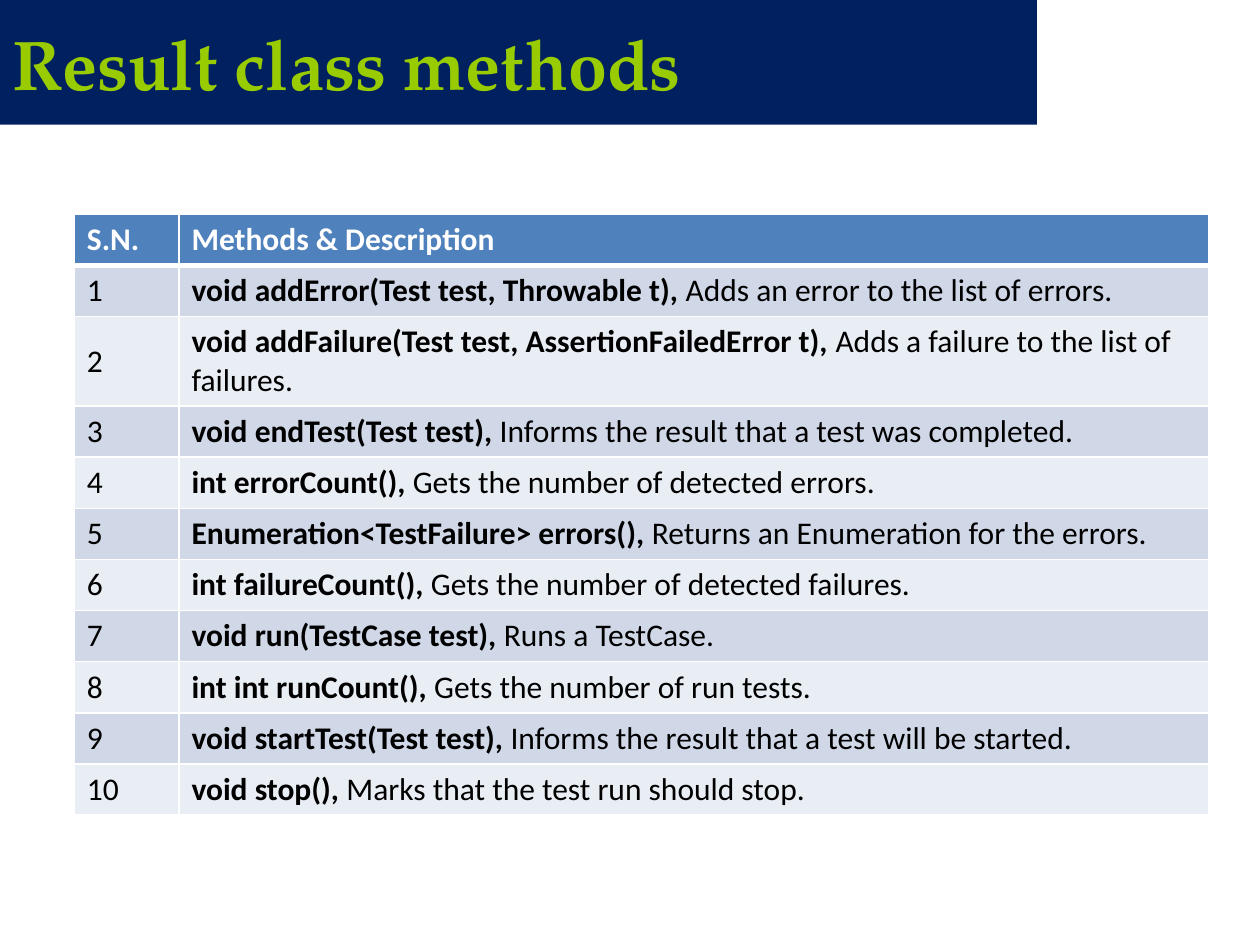
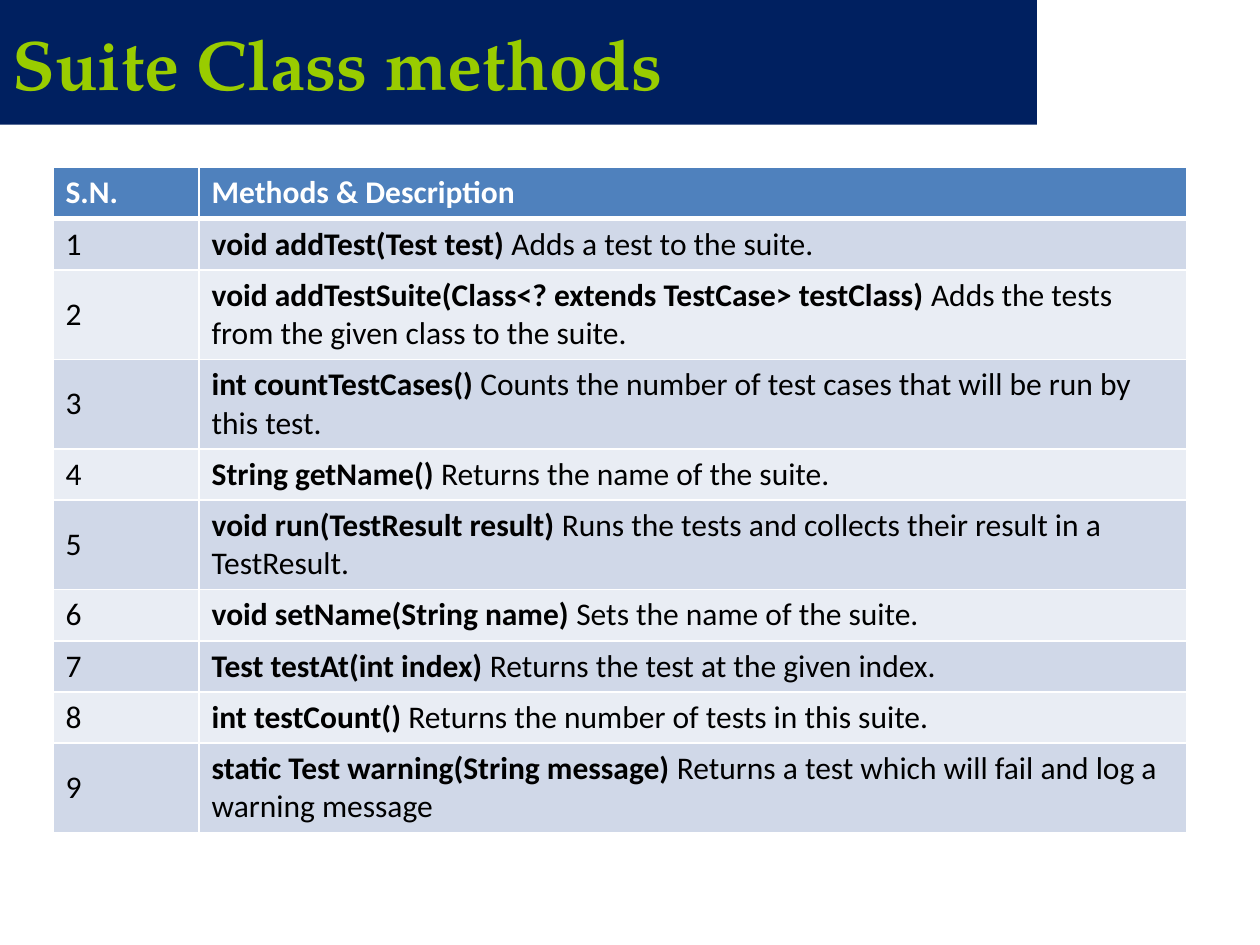
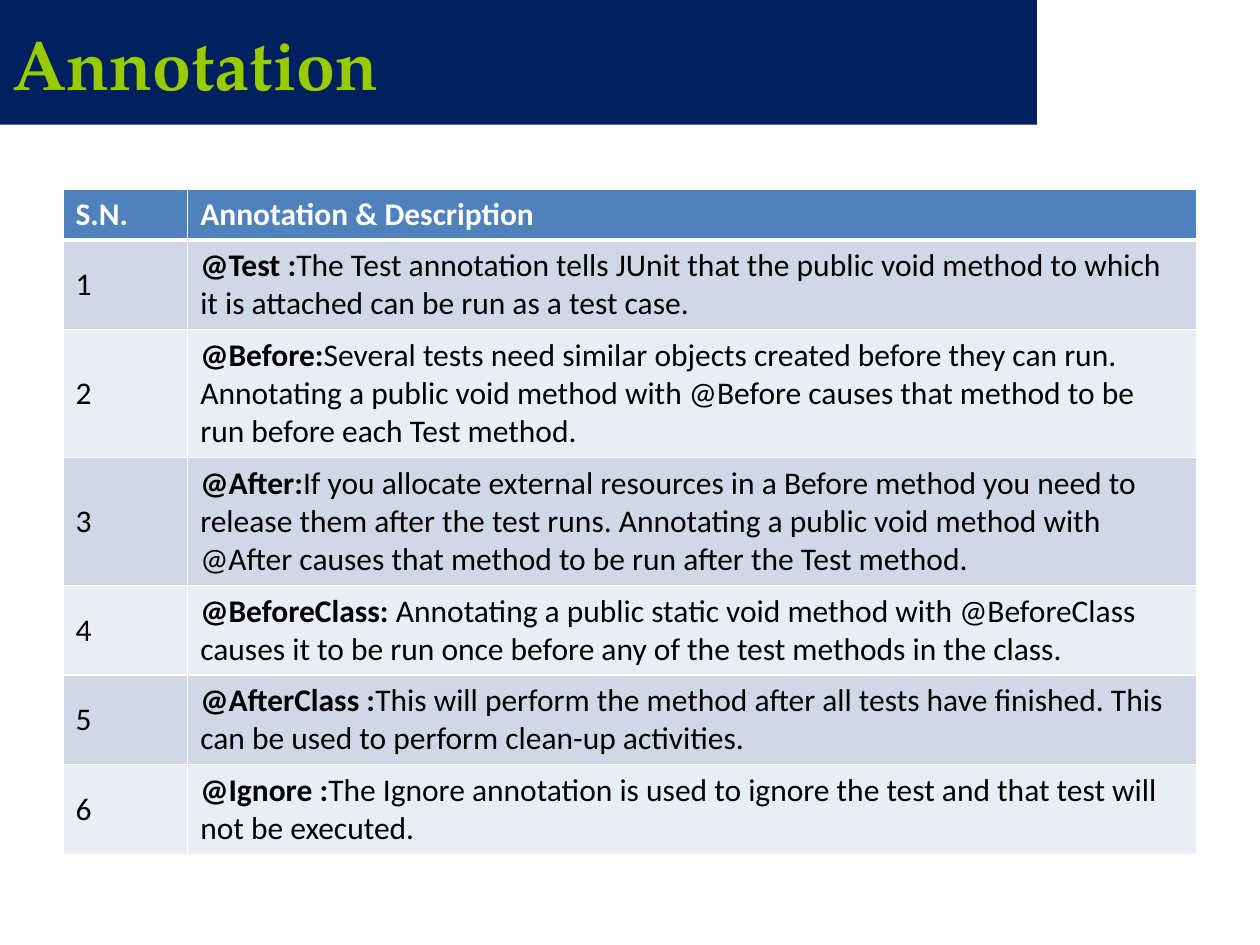
from dataclasses import dataclass

from lxml.etree import SubElement
from pptx import Presentation
from pptx.dml.color import RGBColor
from pptx.enum.shapes import MSO_SHAPE
from pptx.enum.text import MSO_ANCHOR, PP_ALIGN
from pptx.oxml.ns import qn
from pptx.util import Inches, Pt


@dataclass(frozen=True)
class Theme:
    band: str = "002060"
    title: str = "99CC00"
    header: str = "4F81BD"
    stripes: tuple = ("D0D8E8", "E9EDF4")
    paper: str = "FFFFFF"
    ink: str = "000000"
    title_font: str = "TeX Gyre Pagella"
    body_font: str = "Calibri"
    title_size: int = 40
    body_size: int = 18
    rule: int = 1
    header_rule: int = 3


class Deck:
    """Places elements on a grid of 100 columns by 75 rows."""

    COLUMNS, ROWS = 100, 75

    def __init__(self, theme):
        self.theme = theme
        self.prs = Presentation()
        self.prs.slide_width, self.prs.slide_height = Inches(10), Inches(7.5)
        self.slide = None

    def x(self, columns):
        return round(self.prs.slide_width * columns / self.COLUMNS)

    def y(self, rows):
        return round(self.prs.slide_height * rows / self.ROWS)

    def new_slide(self, title):
        self.slide = self.prs.slides.add_slide(self.prs.slide_layouts[6])
        self.title_band(title)

    def style(self, paragraph, name, size, color, bold=False):
        font = paragraph.font
        font.name, font.size, font.bold = name, Pt(size), bold
        font.color.rgb = RGBColor.from_string(color)

    def title_band(self, title):
        theme = self.theme
        band = self.slide.shapes.add_shape(
            MSO_SHAPE.RECTANGLE, 0, 0, self.x(82.3), self.y(9.9))
        band.shadow.inherit = False
        band.fill.solid()
        band.fill.fore_color.rgb = RGBColor.from_string(theme.band)
        band.line.fill.background()
        frame = band.text_frame
        frame.word_wrap = True
        frame.vertical_anchor = MSO_ANCHOR.MIDDLE
        heading = frame.paragraphs[0]
        heading.text = title
        heading.alignment = PP_ALIGN.LEFT
        self.style(heading, theme.title_font, theme.title_size, theme.title, bold=True)

    def borders(self, cell, row):
        """Thin rules all round, with a thicker one under the header."""
        theme = self.theme
        widths = {"L": theme.rule, "R": theme.rule,
                  "T": theme.header_rule if row == 1 else theme.rule,
                  "B": theme.header_rule if row == 0 else theme.rule}
        properties = cell._tc.get_or_add_tcPr()
        for side, width in widths.items():
            line = SubElement(properties, qn(f"a:ln{side}"), w=str(Pt(width)))
            fill = SubElement(line, qn("a:solidFill"))
            SubElement(fill, qn("a:srgbClr"), val=theme.paper)

    def cell(self, cell, row, lead, rest=""):
        """Fill one cell; in the body, a lead followed by a rest is bold."""
        theme = self.theme
        is_header = row == 0
        self.borders(cell, row)
        cell.fill.solid()
        cell.fill.fore_color.rgb = RGBColor.from_string(
            theme.header if is_header else theme.stripes[(row - 1) % 2])
        cell.vertical_anchor = MSO_ANCHOR.MIDDLE
        paragraph = cell.text_frame.paragraphs[0]
        self.style(paragraph, theme.body_font, theme.body_size,
                   theme.paper if is_header else theme.ink, bold=is_header)
        lead_run = paragraph.add_run()
        lead_run.text = lead
        if rest:
            lead_run.font.bold = True
            rest_run = paragraph.add_run()
            rest_run.text = rest
            rest_run.font.bold = False

    def numbered_table(self, left, top, number_width, heading, entries):
        width, row_height = 90, 4.06
        count = len(entries) + 1
        table = self.slide.shapes.add_table(
            count, 2, self.x(left), self.y(top),
            self.x(width), self.y(row_height * count)).table
        table.columns[0].width = self.x(number_width)
        table.columns[1].width = self.x(width - number_width)
        for row in table.rows:
            row.height = self.y(row_height)
        self.cell(table.cell(0, 0), 0, "S.N.")
        self.cell(table.cell(0, 1), 0, heading)
        for number, (lead, rest) in enumerate(entries, 1):
            self.cell(table.cell(number, 0), number, str(number))
            self.cell(table.cell(number, 1), number, lead, rest)


RESULT_METHODS = [
    ("void addError(Test test, Throwable t), ", "Adds an error to the list of errors."),
    ("void addFailure(Test test, AssertionFailedError t), ",
     "Adds a failure to the list of failures."),
    ("void endTest(Test test), ", "Informs the result that a test was completed."),
    ("int errorCount(), ", "Gets the number of detected errors."),
    ("Enumeration<TestFailure> errors(), ", "Returns an Enumeration for the errors."),
    ("int failureCount(), ", "Gets the number of detected failures."),
    ("void run(TestCase test), ", "Runs a TestCase."),
    ("int int runCount(), ", "Gets the number of run tests."),
    ("void startTest(Test test), ", "Informs the result that a test will be started."),
    ("void stop(), ", "Marks that the test run should stop."),
]

SUITE_METHODS = [
    ("void addTest(Test test) ", "Adds a test to the suite."),
    ("void addTestSuite(Class<? extends TestCase> testClass) ",
     "Adds the tests from the given class to the suite."),
    ("int countTestCases() ",
     "Counts the number of test cases that will be run by this test."),
    ("String getName() ", "Returns the name of the suite."),
    ("void run(TestResult result) ",
     "Runs the tests and collects their result in a TestResult."),
    ("void setName(String name) ", "Sets the name of the suite."),
    ("Test testAt(int index) ", "Returns the test at the given index."),
    ("int testCount() ", "Returns the number of tests in this suite."),
    ("static Test warning(String message)",
     " Returns a test which will fail and log a warning message"),
]

ANNOTATIONS = [
    ("@Test :", "The Test annotation tells JUnit that the public void method to which "
     "it is attached can be run as a test case."),
    ("@Before:", "Several tests need similar objects created before they can run. "
     "Annotating a public void method with @Before causes that method to be run "
     "before each Test method."),
    ("@After:", "If you allocate external resources in a Before method you need to "
     "release them after the test runs. Annotating a public void method with @After "
     "causes that method to be run after the Test method."),
    ("@BeforeClass: ", "Annotating a public static void method with @BeforeClass "
     "causes it to be run once before any of the test methods in the class."),
    ("@AfterClass :", "This will perform the method after all tests have finished. "
     "This can be used to perform clean-up activities."),
    ("@Ignore :", "The Ignore annotation is used to ignore the test and that test "
     "will not be executed."),
]


def main():
    deck = Deck(Theme())

    # Result class
    deck.new_slide("Result class methods")
    deck.numbered_table(5.9, 17, 8.3, "Methods & Description", RESULT_METHODS)

    # Suite class
    deck.new_slide("Suite Class methods")
    deck.numbered_table(4.2, 13.3, 11.6, "Methods & Description", SUITE_METHODS)

    # Annotations
    deck.new_slide("Annotation")
    deck.numbered_table(5, 15, 9.9, "Annotation & Description", ANNOTATIONS)

    deck.prs.save("out.pptx")


if __name__ == "__main__":
    main()
